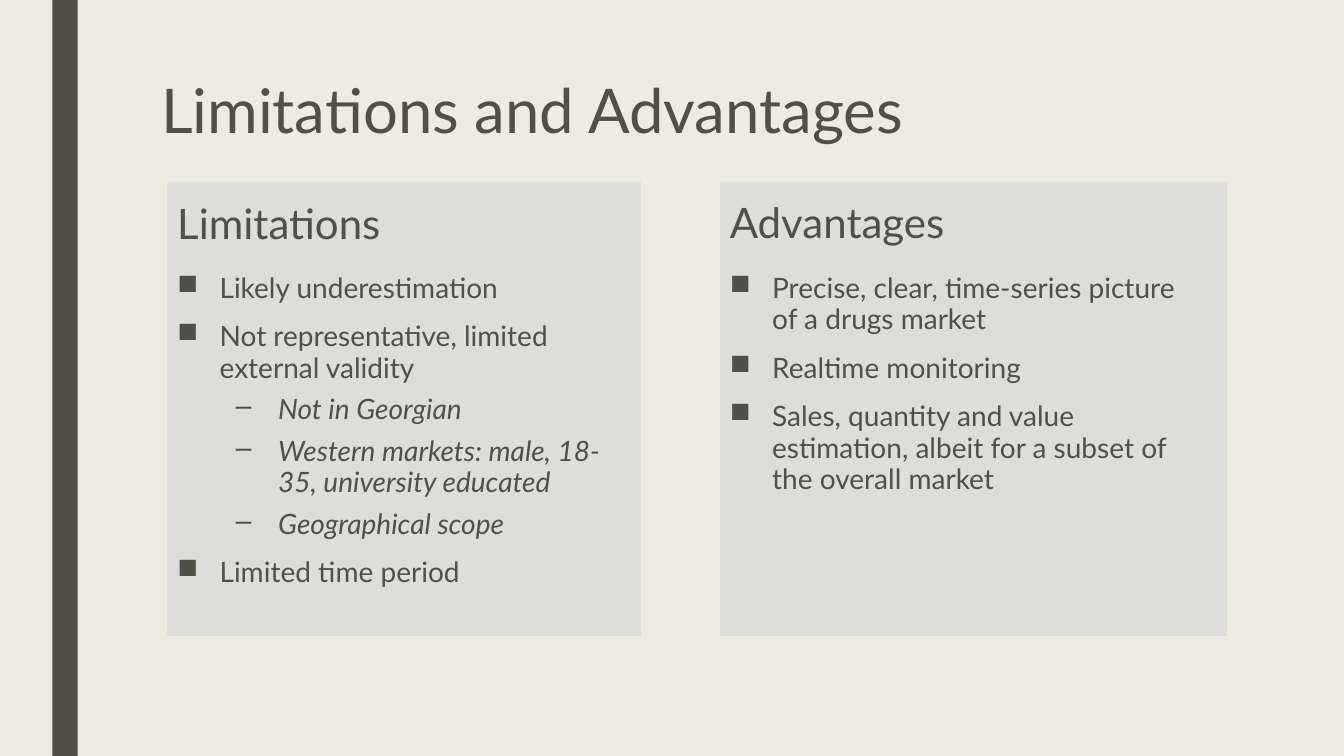
from dataclasses import dataclass

import lxml.etree
import pptx
import pptx.dml.color
import pptx.enum.shapes
import pptx.enum.text
import pptx.oxml.ns
import pptx.util

Inches = pptx.util.Inches
Color = pptx.dml.color.RGBColor
Anchor = pptx.enum.text.MSO_ANCHOR


@dataclass(frozen=True)
class Theme:
    font: str = "Lato"
    background: Color = Color(0xEE, 0xEC, 0xE1)
    ink: Color = Color(0x50, 0x50, 0x46)
    panel: Color = Color(0xDD, 0xDD, 0xD9)
    title_size: int = 44
    heading_size: int = 30
    body_size: int = 20


@dataclass(frozen=True)
class Area:
    left: float
    top: float
    width: float
    height: float


@dataclass(frozen=True)
class Level:
    bullet: str
    indent: float
    space_before: int
    italic: bool


@dataclass(frozen=True)
class Column:
    panel: Area
    heading_area: Area
    heading: str
    list_area: Area
    points: tuple[tuple[int, str], ...]


THEME = Theme()
HANGING = 0.42
LEVELS = (Level("■", 0.42, 10, False), Level("–", 1.0, 5, True))

COLUMNS = (
    Column(
        Area(1.66, 1.81, 4.7, 4.5),
        Area(1.66, 1.61, 4.86, 0.9),
        "Limitations",
        Area(1.66, 2.66, 4.62, 3.41),
        (
            (0, "Likely underestimation"),
            (0, "Not representative, limited external validity"),
            (1, "Not in Georgian"),
            (1, "Western markets: male, 18-35, university educated"),
            (1, "Geographical scope"),
            (0, "Limited time period"),
        ),
    ),
    Column(
        Area(7.14, 1.81, 5.03, 4.5),
        Area(7.14, 1.6, 4.86, 0.9),
        "Advantages",
        Area(7.14, 2.66, 4.86, 2.8),
        (
            (0, "Precise, clear, time-series picture of a drugs market"),
            (0, "Realtime monitoring"),
            (0, "Sales, quantity and value estimation, albeit for a subset of the overall market"),
        ),
    ),
)


def place(area: Area) -> tuple[int, ...]:
    return tuple(Inches(n) for n in (area.left, area.top, area.width, area.height))


def add_block(page, area: Area, color: Color) -> None:
    block = page.shapes.add_shape(pptx.enum.shapes.MSO_SHAPE.RECTANGLE, *place(area))
    block.shadow.inherit = False
    block.fill.solid()
    block.fill.fore_color.rgb = color
    block.line.fill.background()


def add_frame(page, area: Area, anchor: Anchor = Anchor.TOP):
    frame = page.shapes.add_textbox(*place(area)).text_frame
    frame.word_wrap = True
    frame.vertical_anchor = anchor
    return frame


def add_span(para, text: str, size: int, italic: bool = False) -> None:
    span = para.add_run()
    span.text = text
    span.font.name = THEME.font
    span.font.size = pptx.util.Pt(size)
    span.font.italic = italic
    span.font.color.rgb = THEME.ink


def add_line(page, area: Area, text: str, size: int, spacing: float,
             anchor: Anchor = Anchor.TOP) -> None:
    para = add_frame(page, area, anchor).paragraphs[0]
    para.line_spacing = spacing
    add_span(para, text, size)


def set_bullet(para, level: Level) -> None:
    properties = para._p.get_or_add_pPr()
    properties.set("marL", str(Inches(level.indent)))
    properties.set("indent", str(-Inches(HANGING)))
    bullet = lxml.etree.SubElement(properties, pptx.oxml.ns.qn("a:buChar"))
    bullet.set("char", level.bullet)


def add_list(page, area: Area, points: tuple[tuple[int, str], ...]) -> None:
    frame = add_frame(page, area)
    for index, (depth, text) in enumerate(points):
        level = LEVELS[depth]
        para = frame.add_paragraph() if index else frame.paragraphs[0]
        para.level = depth
        set_bullet(para, level)
        para.line_spacing = 0.94
        para.space_before = pptx.util.Pt(level.space_before if index else 0)
        para.space_after = pptx.util.Pt(2)
        add_span(para, text, THEME.body_size, level.italic)


def main() -> None:
    deck = pptx.Presentation()
    deck.slide_width, deck.slide_height = Inches(13.33), Inches(7.5)
    page = deck.slides.add_slide(deck.slide_layouts[6])
    page.background.fill.solid()
    page.background.fill.fore_color.rgb = THEME.background

    # Side bar and title
    add_block(page, Area(0.52, 0, 0.25, 7.5), THEME.ink)
    add_line(page, Area(1.5, 0.75, 10.5, 1.62), "Limitations and Advantages",
             THEME.title_size, 0.89)

    # Two columns: panel, heading and bullet list
    for column in COLUMNS:
        add_block(page, column.panel, THEME.panel)
        add_line(page, column.heading_area, column.heading,
                 THEME.heading_size, 0.84, Anchor.BOTTOM)
        add_list(page, column.list_area, column.points)

    deck.save("out.pptx")


if __name__ == "__main__":
    main()
